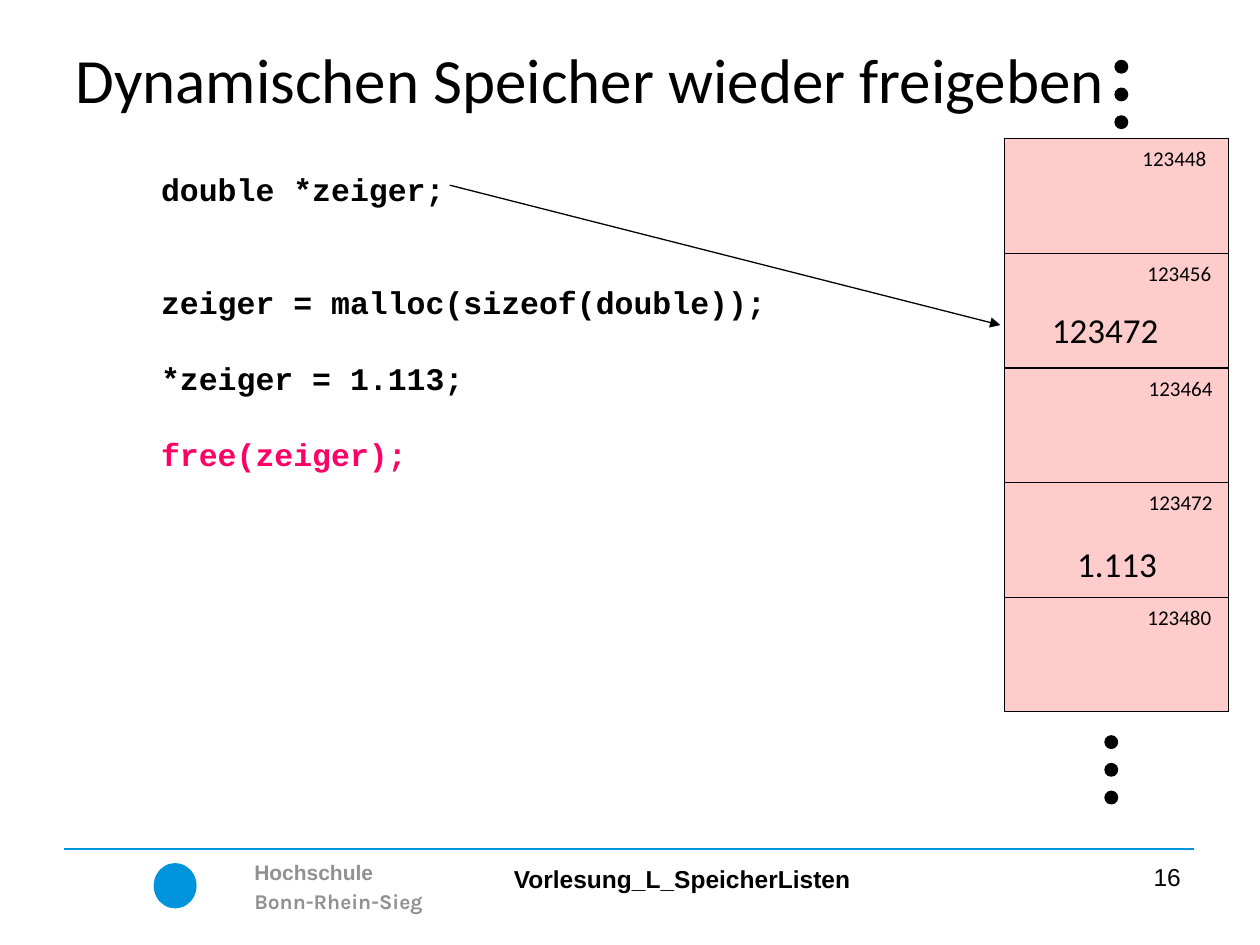
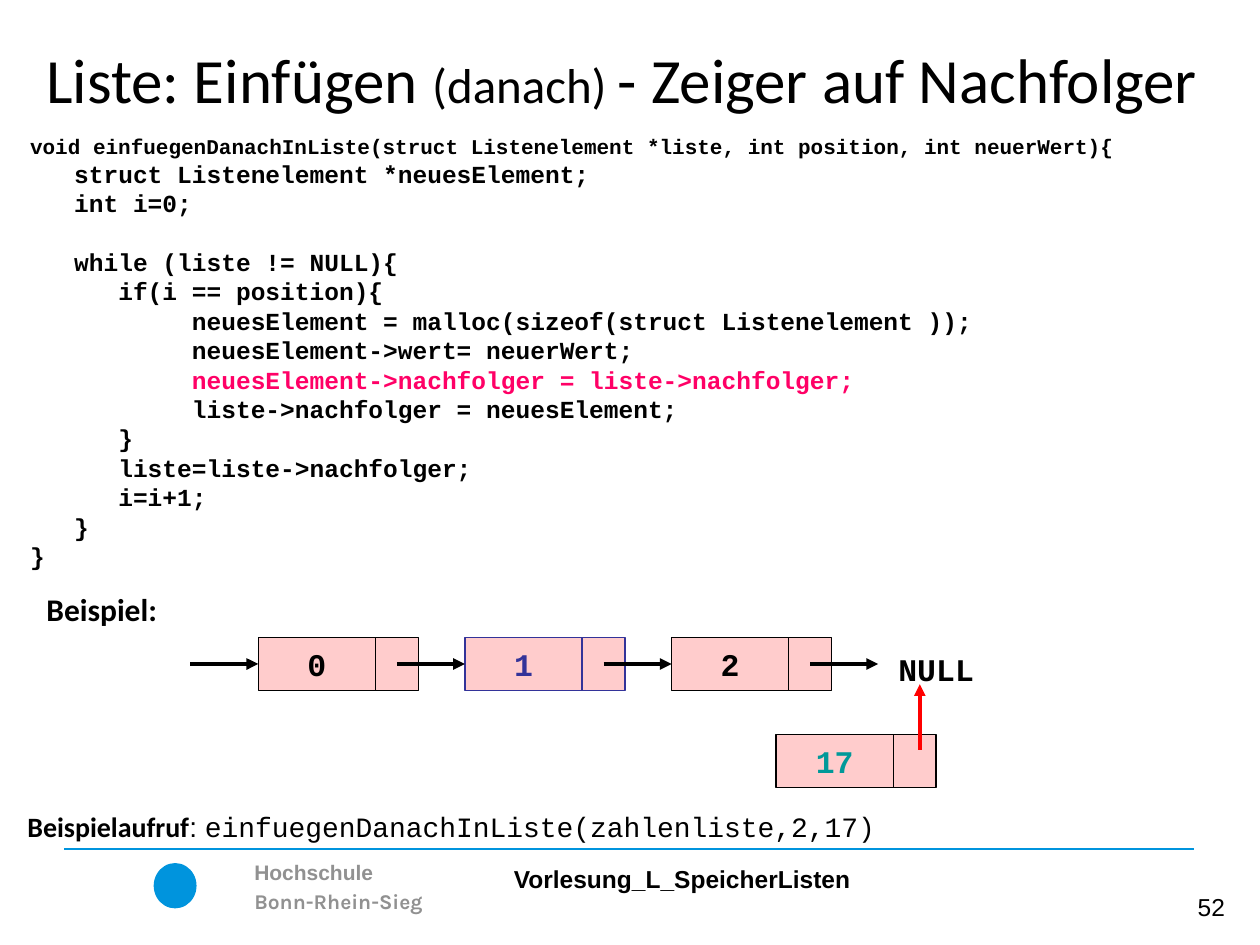
from lxml.etree import SubElement
from pptx import Presentation
from pptx.dml.color import RGBColor
from pptx.enum.shapes import MSO_CONNECTOR, MSO_SHAPE
from pptx.enum.text import MSO_ANCHOR, PP_ALIGN
from pptx.oxml.ns import qn
from pptx.util import Inches, Pt

BLACK = RGBColor(0x00, 0x00, 0x00)
BLUE = RGBColor(0x00, 0x94, 0xDD)
GREY = RGBColor(0x91, 0x91, 0x91)
ROSE = RGBColor(0xFF, 0xCC, 0xCC)
PINK = RGBColor(0xFF, 0x00, 0x66)
NAVY = RGBColor(0x33, 0x33, 0x99)
TEAL = RGBColor(0x00, 0x99, 0x99)
RED = RGBColor(0xFF, 0x00, 0x00)

BODY, CODE, FOOTER = "Calibri", "Courier New", "Arial"
LINE_FACTOR = 1.2
CELL_WIDTH, CELL_HEIGHT = 1.78, 0.91
NODE_WIDTH, VALUE_WIDTH, NODE_HEIGHT, NODE_STEP = 1.24, 0.93, 0.42, 1.64

FREE_CODE = """double *zeiger;


zeiger = malloc(sizeof(double));

*zeiger = 1.113;

free(zeiger);"""

INSERT_CODE = """void einfuegenDanachInListe(struct Listenelement *liste, int position, int neuerWert){
   struct Listenelement *neuesElement;
   int i=0;

   while (liste != NULL){
      if(i == position){
           neuesElement = malloc(sizeof(struct Listenelement ));
           neuesElement->wert= neuerWert;
           neuesElement->nachfolger = liste->nachfolger;
           liste->nachfolger = neuesElement;
      }
      liste=liste->nachfolger;
      i=i+1;
   }
}"""


# Basic parts
def write(para, text, font=BODY, size=18, color=BLACK, bold=False, shadow=False):
    """Append one formatted span to a paragraph."""
    span = para.add_run()
    span.text = text
    span.font.name = font
    span.font.size = Pt(size)
    span.font.bold = bold
    span.font.color.rgb = color
    if shadow:
        effects = SubElement(span.font._element, qn("a:effectLst"))
        span.font._element.find(qn("a:solidFill")).addnext(effects)
        outer = SubElement(effects, qn("a:outerShdw"), dist="35921", dir="2700000")
        SubElement(outer, qn("a:srgbClr"), val="C0C0C0")


def add_text(page, box, spans, align=PP_ALIGN.LEFT, anchor=MSO_ANCHOR.TOP,
             wrap=False, **style):
    """Add a one-paragraph text box; spans is text or (text, style) pairs."""
    shape = page.shapes.add_textbox(*map(Inches, box))
    frame = shape.text_frame
    frame.word_wrap = wrap
    frame.vertical_anchor = anchor
    para = frame.paragraphs[0]
    para.alignment = align
    for text, extra in [(spans, {})] if isinstance(spans, str) else spans:
        write(para, text, **{**style, **extra})
    return shape


def add_shape(page, kind, box, fill, line=None):
    shape = page.shapes.add_shape(kind, *map(Inches, box))
    shape.shadow.inherit = False
    shape.fill.solid()
    shape.fill.fore_color.rgb = fill
    if line is None:
        shape.line.fill.background()
    else:
        shape.line.color.rgb = line
        shape.line.width = Pt(0.75)
    return shape


def add_line(page, start, end, color=BLACK, width=2.25, arrow=True):
    line = page.shapes.add_connector(
        MSO_CONNECTOR.STRAIGHT, *map(Inches, (*start, *end)))
    line.line.color.rgb = color
    line.line.width = Pt(width)
    properties = line._element.spPr
    if arrow:
        SubElement(properties.find(qn("a:ln")), qn("a:tailEnd"), type="triangle")
    SubElement(properties, qn("a:effectLst"))
    return line


def add_code(page, box, source, size, first_size=None, marked="", wrap=False):
    """Add a listing; empty source lines become space before the next line."""
    frame = page.shapes.add_textbox(*map(Inches, box)).text_frame
    frame.word_wrap = wrap
    para, gap = frame.paragraphs[0], 0
    for number, text in enumerate(source.split("\n")):
        if not text:
            gap += size * LINE_FACTOR
            continue
        if number:
            para = frame.add_paragraph()
        text_size = size if number else first_size or size
        para.line_spacing = Pt(text_size * LINE_FACTOR)
        para.space_before = Pt(gap)
        write(para, text, font=CODE, size=text_size, bold=True,
              color=PINK if text.strip() == marked else BLACK)
        gap = 0


# Shared frame: title, footer band and page number
def add_title(page, box, spans):
    add_text(page, box, spans, anchor=MSO_ANCHOR.MIDDLE, wrap=True,
             size=36, shadow=True)


def add_footer(page, left, top, number, number_at):
    add_line(page, (left, top), (left + 8.97, top), BLUE, 1, arrow=False)
    add_shape(page, MSO_SHAPE.OVAL, (left + 0.71, top + 0.11, 0.34, 0.36), BLUE)
    school = add_text(page, (left + 1.41, top, 2.53, 0.56), "Hochschule",
                      wrap=True, font=FOOTER, size=12, color=GREY, bold=True)
    second = school.text_frame.add_paragraph()
    write(second, "Bonn-Rhein-Sieg", font="Karla", size=12, color=GREY, bold=True)
    for para in school.text_frame.paragraphs:
        para.line_spacing = 1.15
    add_text(page, (left + 3.47, top + 0.07, 2.87, 0.33),
             "Vorlesung_L_SpeicherListen", font=FOOTER, size=14, bold=True)
    add_text(page, (*number_at, 2.19, 0.37), number, align=PP_ALIGN.RIGHT,
             wrap=True, font=FOOTER, size=14)


# Memory column
def add_dots(page, left, top):
    for row in range(3):
        add_shape(page, MSO_SHAPE.OVAL, (left, top + 0.22 * row, 0.1, 0.1),
                  BLACK, BLACK)


def add_memory(page, left, top):
    addresses = [("123448", 0.99), ("123456", 1.03), ("123464", 1.04),
                 ("123472", 1.04), ("123480", 1.03)]
    add_dots(page, left + 0.88, top - 0.62)
    for row, (address, shift) in enumerate(addresses):
        cell_top = top + CELL_HEIGHT * row
        add_shape(page, MSO_SHAPE.RECTANGLE,
                  (left, cell_top, CELL_WIDTH, CELL_HEIGHT), ROSE, BLACK)
        add_text(page, (left + shift, cell_top + 0.01, 0.72, 0.3), address,
                 align=PP_ALIGN.CENTER, size=12)
    add_text(page, (left + 0.28, top + 1.3, 1.05, 0.44), "123472", size=20)
    add_text(page, (left + 0.48, top + 3.16, 0.84, 0.44), "1.113", size=20)
    add_dots(page, left + 0.8, top + 4.74)


# Linked list
def add_node(page, left, top, value, line=BLACK, color=BLACK):
    """Draw a node and return its value field."""
    add_shape(page, MSO_SHAPE.RECTANGLE,
              (left + 0.03, top, NODE_WIDTH, NODE_HEIGHT), ROSE, line)
    field = add_shape(page, MSO_SHAPE.RECTANGLE,
                      (left, top, VALUE_WIDTH, NODE_HEIGHT), ROSE, line)
    frame = field.text_frame
    frame.word_wrap = False
    frame.vertical_anchor = MSO_ANCHOR.MIDDLE
    frame.paragraphs[0].alignment = PP_ALIGN.CENTER
    write(frame.paragraphs[0], value, font=CODE, bold=True, color=color)
    return field


def add_list(page, left, top):
    middle = top + NODE_HEIGHT / 2
    colors = [BLACK, NAVY, BLACK]
    fields = [add_node(page, left + NODE_STEP * index, top, str(index), color, color)
              for index, color in enumerate(colors)]
    # One arrow into each node, and one from the last node to NULL
    for index in range(len(fields) + 1):
        end = left + NODE_STEP * index
        arrow = add_line(page, (end - 0.54, middle), (end, middle))
        if index < len(fields):
            arrow.end_connect(fields[index], 1)
    add_text(page, (left + 4.98, top + 0.05, 0.8, 0.4), "NULL",
             align=PP_ALIGN.CENTER, font=CODE, bold=True)
    # New element
    add_node(page, left + 4.11, top + 0.77, "17", color=TEAL)
    add_line(page, (left + 5.25, top + 0.89), (left + 5.25, top + 0.37), RED)


# Slides
def build_free_slide(page):
    add_footer(page, 0.51, 6.74, "16", (7.28, 6.79))
    add_title(page, (0.5, 0.28, 9, 0.69), "Dynamischen Speicher wieder freigeben")
    add_memory(page, 7.97, 1.1)
    add_code(page, (1.18, 1.3, 5.03, 2.52), FREE_CODE, 18, marked="free(zeiger);")
    add_line(page, (3.57, 1.47), (7.94, 2.58), width=0.75)


def build_insert_slide(page):
    add_footer(page, 0.51, 6.74, "52", (7.63, 7.03))
    add_title(page, (0.27, 0.28, 9.54, 0.69),
              [("Liste: Einfügen ", {}), ("(danach) ", {"size": 28}),
               ("- Zeiger auf Nachfolger", {})])
    add_code(page, (0.14, 1.01, 9.79, 3.6), INSERT_CODE, 14, first_size=12, wrap=True,
             marked="neuesElement->nachfolger = liste->nachfolger;")
    add_text(page, (0.27, 4.63, 1.09, 0.4), "Beispiel:", bold=True)
    add_list(page, 2.05, 5.06)
    add_text(page, (0.12, 6.38, 7.03, 0.37),
             [("Beispielaufruf", {"bold": True}), (": ", {"font": FOOTER}),
              ("einfuegenDanachInListe(zahlenliste,2,17)", {"font": CODE})], size=16)


def main():
    deck = Presentation()
    deck.slide_width, deck.slide_height = Inches(10), Inches(7.5)
    for build in (build_free_slide, build_insert_slide):
        build(deck.slides.add_slide(deck.slide_layouts[6]))
    deck.save("out.pptx")


if __name__ == "__main__":
    main()
